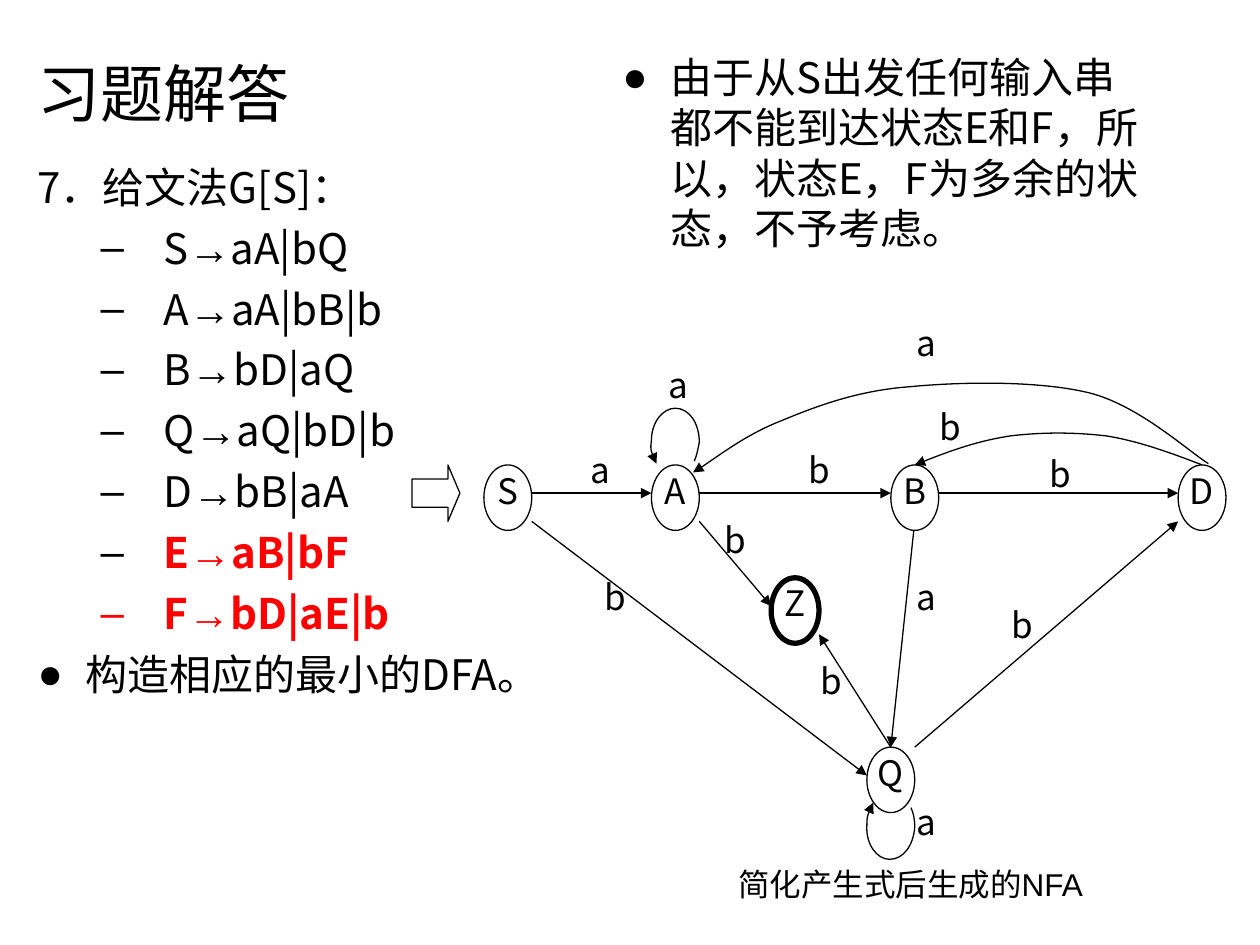
from lxml.etree import SubElement
from pptx import Presentation
from pptx.dml.color import RGBColor
from pptx.enum.shapes import MSO_CONNECTOR, MSO_SHAPE
from pptx.enum.text import MSO_ANCHOR, PP_ALIGN
from pptx.oxml.ns import qn
from pptx.util import Inches, Pt

COLORS = {"ink": "000000", "paper": "FFFFFF", "spare": "FF0000"}
SANS, CJK = "Arial", "Noto Sans CJK SC"


class AutomatonSlide:
    """Style and slide; diagram places are columns and rows from state S."""
    LEFT, TOP, COL, ROW = 3.84, 3.69, 0.19, 2.24 / 10
    STATE_W, STATE_H = 2, 2.32

    def __init__(self, prs):
        self.s = prs.slides.add_slide(prs.slide_layouts[6])

    def at(self, col, row):
        return Inches(self.LEFT + col * self.COL), Inches(self.TOP + row * self.ROW)

    def size(self, cols, rows):
        return Inches(cols * self.COL), Inches(rows * self.ROW)

    def color(self, name):
        return RGBColor.from_string(COLORS[name])

    def run(self, p, text, size, font=CJK, color="ink", bold=False):
        r = p.add_run()
        r.text = text
        for key, value in {"size": Pt(size), "name": font, "bold": bold}.items():
            setattr(r.font, key, value)
        r.font.color.rgb = self.color(color)
        SubElement(r.font._element, qn("a:ea"), typeface=font)

    def frame(self, shape, margins=(0.1, 0.05), **style):
        tf = shape.text_frame
        x, y = (Inches(m) for m in margins)
        values = {"word_wrap": True, "vertical_anchor": MSO_ANCHOR.TOP,
                  "margin_left": x, "margin_right": x,
                  "margin_top": y, "margin_bottom": y}
        for key, value in {**values, **style}.items():
            setattr(tf, key, value)
        return tf

    def box(self, x, y, w, h, **style):
        lengths = (Inches(v) for v in (x, y, w, h))
        return self.frame(self.s.shapes.add_textbox(*lengths), **style)

    def bullet(self, p, mark, color="ink", left=0.38, hang=0.38):
        ppr = p._p.get_or_add_pPr()
        ppr.set("marL", str(Inches(left)))
        ppr.set("indent", str(-Inches(hang)))
        if mark:
            clr = SubElement(ppr, qn("a:buClr"))
            SubElement(clr, qn("a:srgbClr"), val=COLORS[color])
            SubElement(ppr, qn("a:buFont"), typeface=SANS)
            SubElement(ppr, qn("a:buChar"), char=mark)

    def centred(self, tf, text, spacing):
        p = tf.paragraphs[0]
        p.alignment, p.line_spacing = PP_ALIGN.CENTER, spacing
        self.run(p, text, 20)

    def shape(self, kind, col, row, cols, rows, width=0.75):
        sp = self.s.shapes.add_shape(kind, *self.at(col, row), *self.size(cols, rows))
        sp.shadow.inherit = False
        sp.fill.solid()
        sp.fill.fore_color.rgb = self.color("paper")
        self.outline(sp, width)
        return sp

    def outline(self, sp, width=0.75, arrow=False):
        sp.line.color.rgb = self.color("ink")
        sp.line.width = Pt(width)
        if arrow:
            SubElement(sp.line._get_or_add_ln(), qn("a:tailEnd"), type="triangle")

    def state(self, name, col, row, width=0.75):
        sp = self.shape(MSO_SHAPE.OVAL, col, row, self.STATE_W, self.STATE_H, width)
        self.centred(self.frame(sp, (0, 0)), name, 0.88)

    def label(self, text, col, row):
        sp = self.s.shapes.add_textbox(*self.at(col, row), *self.size(1, 1.6))
        self.centred(self.frame(sp, (0, 0)), text, 0.96)

    def edge(self, start, end):
        line = self.s.shapes.add_connector(
            MSO_CONNECTOR.STRAIGHT, *self.at(*start), *self.at(*end))
        self.outline(line, arrow=True)
        SubElement(line._element.spPr, qn("a:effectLst"))

    def curve(self, points):
        """Joined cubic curves, points in inches, with an arrow at the end."""
        dots = [(Inches(x), Inches(y)) for x, y in points]
        builder = self.s.shapes.build_freeform(*dots[0])
        builder.add_line_segments(dots[1:], close=False)
        sp = builder.convert_to_shape()
        # Every three line segments become one cubic segment
        outline = next(sp._element.iter(qn("a:path")))
        lines = outline.findall(qn("a:lnTo"))
        for i in range(0, len(lines), 3):
            cubic = SubElement(outline, qn("a:cubicBezTo"))
            for line in lines[i:i + 3]:
                cubic.append(line[0])
                outline.remove(line)
        sp.shadow.inherit = False
        sp.fill.background()
        self.outline(sp, arrow=True)


def main():
    prs = Presentation()
    prs.slide_width, prs.slide_height = Inches(10), Inches(7.5)
    s = AutomatonSlide(prs)

    # Title
    tf = s.box(0.2, 0.21, 2.97, 1.04, vertical_anchor=MSO_ANCHOR.MIDDLE)
    s.run(tf.paragraphs[0], "习题解答", 36, SANS)

    # Grammar: the rules of E and F are superfluous
    tf = s.box(0.2, 1.23, 4.81, 4.95)
    p = tf.paragraphs[0]
    s.bullet(p, None)
    s.run(p, "7．给文法G[S]：", 24)
    rules = {"S": "aA|bQ", "A": "aA|bB|b", "B": "bD|aQ", "Q": "aQ|bD|b",
             "D": "bB|aA", "E": "aB|bF", "F": "bD|aE|b"}
    for head, body in rules.items():
        p = tf.add_paragraph()
        p.space_before = Pt(6)
        s.bullet(p, "–", "spare" if head == "F" else "ink", 1, 0.5)
        spare = head in "EF"
        for text, font in ((head, CJK), ("→", SANS), (body, CJK)):
            s.run(p, text, 24, font, "spare" if spare else "ink", spare)
    p = tf.add_paragraph()
    p.space_before = Pt(6)
    s.bullet(p, "●")
    s.run(p, "构造相应的最小的DFA。", 24)

    # Remark
    p = s.box(4.84, 0.36, 4.42, 1.81).paragraphs[0]
    s.bullet(p, "●")
    s.run(p, "由于从S出发任何输入串都不能到达状态E和F，所以，状态E，F为多余的状态，不予考虑。", 24)

    # Arrow from grammar to automaton
    arrow = s.shape(MSO_SHAPE.RIGHT_ARROW, -3, 0, 2, 2)
    arrow.adjustments[1] = 0.25

    # Loops at Q and A
    s.curve([(7.23, 6.41), (7.25, 6.45), (7.26, 6.51), (7.26, 6.56), (7.25, 6.71),
             (7.17, 6.82), (7.06, 6.82), (6.96, 6.82), (6.87, 6.7), (6.88, 6.55),
             (6.88, 6.48), (6.9, 6.42), (6.93, 6.37)])
    s.curve([(5.51, 3.66), (5.53, 3.62), (5.54, 3.56), (5.55, 3.51), (5.55, 3.36),
             (5.47, 3.24), (5.36, 3.24), (5.26, 3.24), (5.17, 3.35), (5.17, 3.5),
             (5.16, 3.57), (5.18, 3.63), (5.21, 3.68)])

    # Straight transitions
    for start, end in (((2, 1), (7, 1)), ((9, 1), (17, 1)), ((19, 1), (29, 1)),
                       ((2, 2), (16, 11)), ((9, 2), (12, 5)), ((17, 10), (14, 6)),
                       ((18, 2), (17, 10)), ((18, 10), (29, 2))):
        s.edge(start, end)

    # States, Z being final
    for name, col, row in (("S", 0, 0), ("A", 7, 0), ("B", 17, 0), ("D", 29, 0),
                           ("Q", 16, 10)):
        s.state(name, col, row)
    s.state("Z", 12, 4, 3)

    # Curved transitions from D to B and A
    s.curve([(9.54, 3.69), (9.28, 3.59), (9.03, 3.5), (8.78, 3.46), (8.52, 3.43),
             (8.27, 3.43), (8.02, 3.46), (7.76, 3.5), (7.51, 3.59), (7.26, 3.69)])
    s.curve([(9.59, 3.68), (9.43, 3.58), (9.04, 3.22), (8.65, 3.12), (8.25, 3.02),
             (7.63, 3.03), (7.22, 3.07), (6.81, 3.1), (6.49, 3.22), (6.2, 3.34),
             (5.92, 3.45), (5.65, 3.66), (5.5, 3.75)])

    # Input symbols
    symbols = {"a": ((4.37, -0.5), (18, -5), (18, 12), (18, 4), (7.63, -3.5)),
               "b": ((13.5, -0.5), (23.6, -0.35), (19, -2), (22, 5), (5, 4),
                     (10, 2), (14, 7))}
    for symbol, places in symbols.items():
        for place in places:
            s.label(symbol, *place)

    # Caption
    tf = s.box(5.76, 6.82, 3.01, 0.4, word_wrap=False)
    s.run(tf.paragraphs[0], "简化产生式后生成的NFA", 18, SANS)

    prs.save("out.pptx")


if __name__ == "__main__":
    main()
